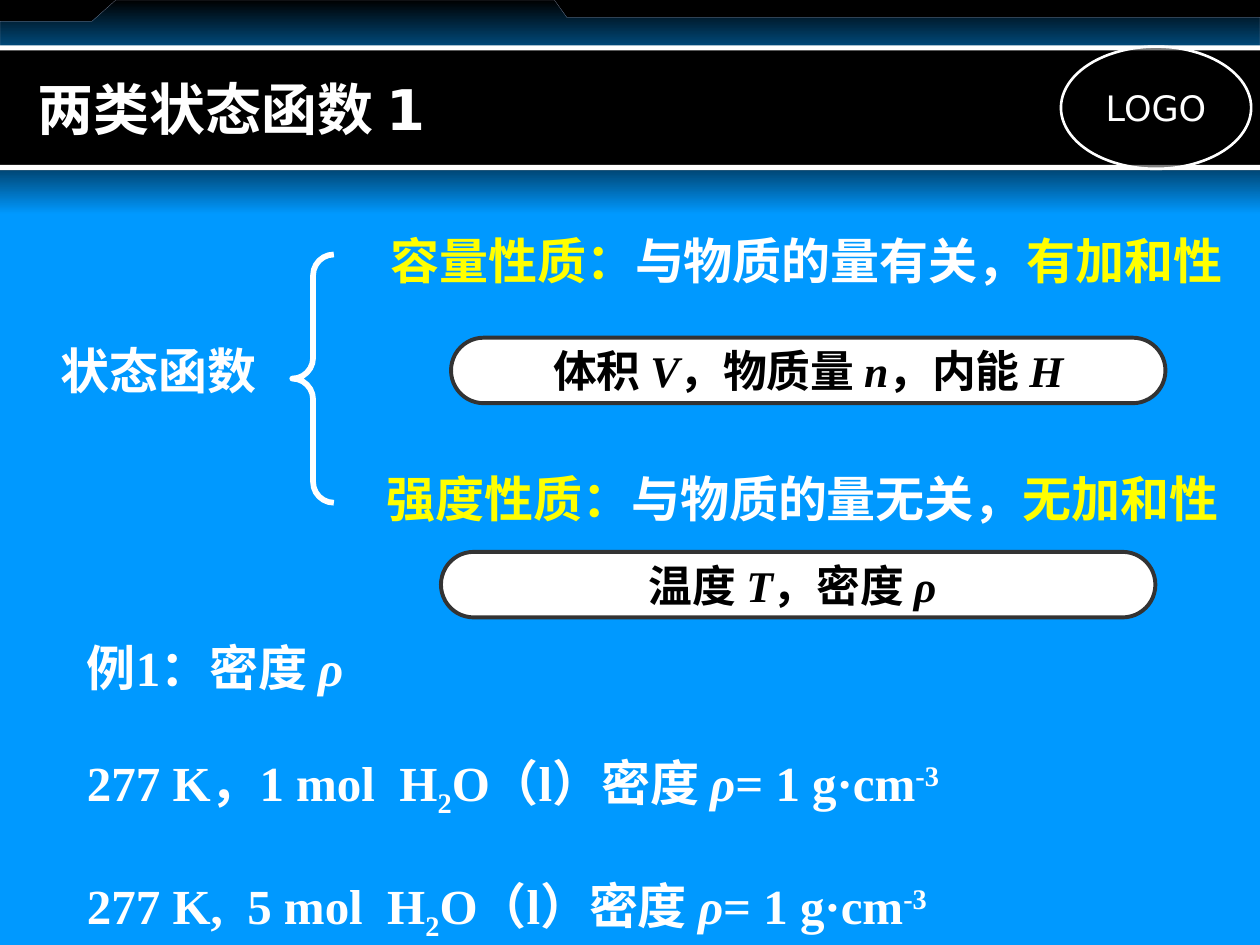
from dataclasses import dataclass
from typing import Optional

from lxml.etree import SubElement
from pptx import Presentation
from pptx.dml.color import RGBColor as RGB
from pptx.enum.shapes import MSO_SHAPE as SHAPE
from pptx.enum.text import MSO_ANCHOR as ANCHOR, MSO_AUTO_SIZE as AUTO, PP_ALIGN as ALIGN
from pptx.oxml.ns import qn
from pptx.util import Inches, Pt


@dataclass(frozen=True)
class Theme:
    """Colours, fonts and type sizes of the slide."""
    black: str = "000000"
    white: str = "FFFFFF"
    yellow: str = "FFFF00"
    blue: str = "0099FF"
    navy: str = "004776"
    edge: str = "333333"
    tab_edge: str = "878FA5"
    sans: str = "DejaVu Sans"
    label: str = "Arial"
    serif: str = "Times New Roman"
    title: int = 32
    body: int = 28
    pill: int = 25
    logo: int = 20
    gap: int = 32


T = Theme()


@dataclass(frozen=True)
class Style:
    """Font, size, colour and weight shared by the runs of a text."""
    font: str
    size: int
    color: str
    bold: bool = True


@dataclass(frozen=True)
class Run:
    """One run and what sets it apart from its style."""
    text: str
    color: Optional[str] = None
    italic: bool = False
    base: int = 0


@dataclass(frozen=True)
class Box:
    """Position and size in inches."""
    x: float
    y: float
    w: float
    h: float

    def emu(self) -> tuple:
        """Return the four lengths for python-pptx."""
        return tuple(Inches(v) for v in (self.x, self.y, self.w, self.h))


@dataclass(frozen=True)
class Property:
    """A class of state functions with its heading and examples."""
    heading: Box
    name: str
    relation: str
    rule: str
    pill: Box
    examples: tuple


PROPERTIES = (
    Property(Box(3, 1.78, 6.8, 0.57), "容量性质：", "与物质的量有关，", "有加和性",
             Box(3.58, 2.68, 5.67, 0.52),
             (Run("体积 "), Run("V", italic=True), Run("，物质量 "), Run("n", italic=True),
              Run("，内能 "), Run("H", italic=True))),
    Property(Box(2.97, 3.67, 6.8, 0.57), "强度性质：", "与物质的量无关，", "无加和性",
             Box(3.5, 4.38, 5.67, 0.52),
             (Run("温度 "), Run("T", italic=True), Run("，密度 "), Run("ρ ", italic=True))),
)


def water_density(amount: str) -> tuple:
    """Return the runs of one water density example."""
    return (Run(f"277 K{amount} mol  H"), Run("2", base=-25), Run("O（l）密度 "),
            Run("ρ", italic=True), Run("= 1 g·cm"), Run("-3", base=30))


def add_runs(p, runs: tuple, style: Style) -> None:
    """Add the runs to a paragraph."""
    for run in runs:
        r = p.add_run()
        r.text = run.text
        r.font.name, r.font.size = style.font, Pt(style.size)
        r.font.bold, r.font.italic = style.bold, run.italic
        r.font.color.rgb = RGB.from_string(run.color or style.color)
        if run.base:
            r.font._element.set("baseline", str(run.base * 1000))


def set_frame(sp, align=ALIGN.LEFT, anchor=ANCHOR.TOP, wrap: bool = True):
    """Set the text frame up and return its first paragraph."""
    tf = sp.text_frame
    tf.auto_size, tf.word_wrap, tf.vertical_anchor = AUTO.NONE, wrap, anchor
    p = tf.paragraphs[0]
    p.alignment = align
    return p


def paint(sp, fill: Optional[str] = None, line: Optional[str] = None,
          width: float = 0, fade_to: Optional[str] = None) -> None:
    """Give a shape its fill, downward fade and outline."""
    sp.shadow.inherit = False
    if fade_to:
        sp.fill.gradient()
        sp.fill.gradient_angle = 270
        for stop, color in zip(sp.fill.gradient_stops, (fill, fade_to)):
            stop.color.rgb = RGB.from_string(color)
    elif fill:
        sp.fill.solid()
        sp.fill.fore_color.rgb = RGB.from_string(fill)
    else:
        sp.fill.background()
    if line:
        sp.line.color.rgb = RGB.from_string(line)
        sp.line.width = Pt(width)
    else:
        sp.line.fill.background()


def add_shape(s, kind, box: Box, **look):
    """Add a painted preset shape."""
    sp = s.shapes.add_shape(kind, *box.emu())
    paint(sp, **look)
    return sp


def add_text(s, box: Box, runs: tuple, style: Style, align=ALIGN.LEFT, wrap: bool = True) -> None:
    """Add a text box with one paragraph."""
    sp = s.shapes.add_textbox(*box.emu())
    add_runs(set_frame(sp, align, wrap=wrap), runs, style)


def add_backdrop(s) -> None:
    """Draw the background, the tab outline, the title band and the logo oval."""
    s.background.fill.solid()
    s.background.fill.fore_color.rgb = RGB.from_string(T.black)
    add_shape(s, SHAPE.RECTANGLE, Box(0, 1.31, 10, 6.19), fill=T.blue)
    add_shape(s, SHAPE.RECTANGLE, Box(0, 1.35, 10, 0.35), fill=T.navy, fade_to=T.blue)
    points = [(x * 100, y * 100) for x, y in (
        (0, 0.76), (10, 0.76), (10, 0.14), (4.5, 0.14),
        (4.4, 0), (0.92, 0), (0.73, 0.17), (0, 0.17))]
    fb = s.shapes.build_freeform(*points[0], scale=Inches(0.01))
    fb.add_line_segments(points[1:], close=True)
    paint(fb.convert_to_shape(), T.black, T.tab_edge, 0.11, T.blue)
    add_shape(s, SHAPE.RECTANGLE, Box(0, 0.38, 10, 0.97), fill=T.black)
    for y in (1.31, 0.36):
        add_shape(s, SHAPE.RECTANGLE, Box(0, y, 10, 0.04), fill=T.white)
    oval = add_shape(s, SHAPE.OVAL, Box(8.42, 0.37, 1.51, 0.97),
                     fill=T.black, line=T.white, width=1.5)
    color = oval.element.spPr.find(qn("a:solidFill"))[0]
    SubElement(color, qn("a:alpha"), val="50000")
    p = set_frame(oval, ALIGN.CENTER, ANCHOR.MIDDLE, wrap=False)
    add_runs(p, (Run("LOGO"),), Style(T.sans, T.logo, T.white, bold=False))


def place(s, sp, box: Box) -> None:
    """Move a placeholder to its box and to the front."""
    sp.left, sp.top, sp.width, sp.height = box.emu()
    s.shapes.element.append(sp.element)


def add_title(s) -> None:
    """Fill the title placeholder."""
    sp = s.shapes.title
    place(s, sp, Box(0.2, 0.4, 7.09, 0.91))
    add_runs(set_frame(sp, anchor=ANCHOR.MIDDLE), (Run("两类状态函数 1"),),
             Style(T.sans, T.title, T.white))


def add_examples(s) -> None:
    """Fill the body placeholder with the density examples."""
    sp = s.placeholders[1]
    place(s, sp, Box(0.59, 5.01, 9.21, 2.57))
    lines = ((Run("例1：密度 "), Run("ρ", italic=True)),
             water_density("，1"), water_density(",  5"))
    p = set_frame(sp)
    for i, runs in enumerate(lines):
        p = sp.text_frame.add_paragraph() if i else p
        p.space_before = Pt(T.gap if i else 0)
        pPr = p._p.get_or_add_pPr()
        pPr.set("marL", "0")
        pPr.set("indent", "0")
        SubElement(pPr, qn("a:buNone"))
        add_runs(p, runs, Style(T.serif, T.body, T.white))


def add_property(s, prop: Property) -> None:
    """Draw the heading of a property and the pill with its examples."""
    heading = (Run(prop.name, T.yellow), Run(prop.relation), Run(prop.rule, T.yellow))
    add_text(s, prop.heading, heading, Style(T.label, T.body, T.white), wrap=False)
    sp = add_shape(s, SHAPE.ROUNDED_RECTANGLE, prop.pill, fill=T.white, line=T.edge, width=2.25)
    sp.adjustments[0] = 0.5
    add_runs(set_frame(sp, ALIGN.CENTER, ANCHOR.MIDDLE, wrap=False), prop.examples,
             Style(T.serif, T.pill, T.black))


def main() -> None:
    """Build the slide and save it."""
    prs = Presentation()
    prs.slide_width, prs.slide_height = Inches(10), Inches(7.5)
    s = prs.slides.add_slide(prs.slide_layouts[1])
    add_backdrop(s)
    add_title(s)
    brace = add_shape(s, SHAPE.LEFT_BRACE, Box(2.32, 2.02, 0.33, 1.97), line=T.white, width=3.25)
    brace.adjustments[0] = 0.5
    add_text(s, Box(0.12, 2.65, 2.28, 0.57), (Run("状态函数"),),
             Style(T.label, T.body, T.white), ALIGN.CENTER)
    add_examples(s)
    for prop in PROPERTIES:
        add_property(s, prop)
    prs.save("out.pptx")


if __name__ == "__main__":
    main()
